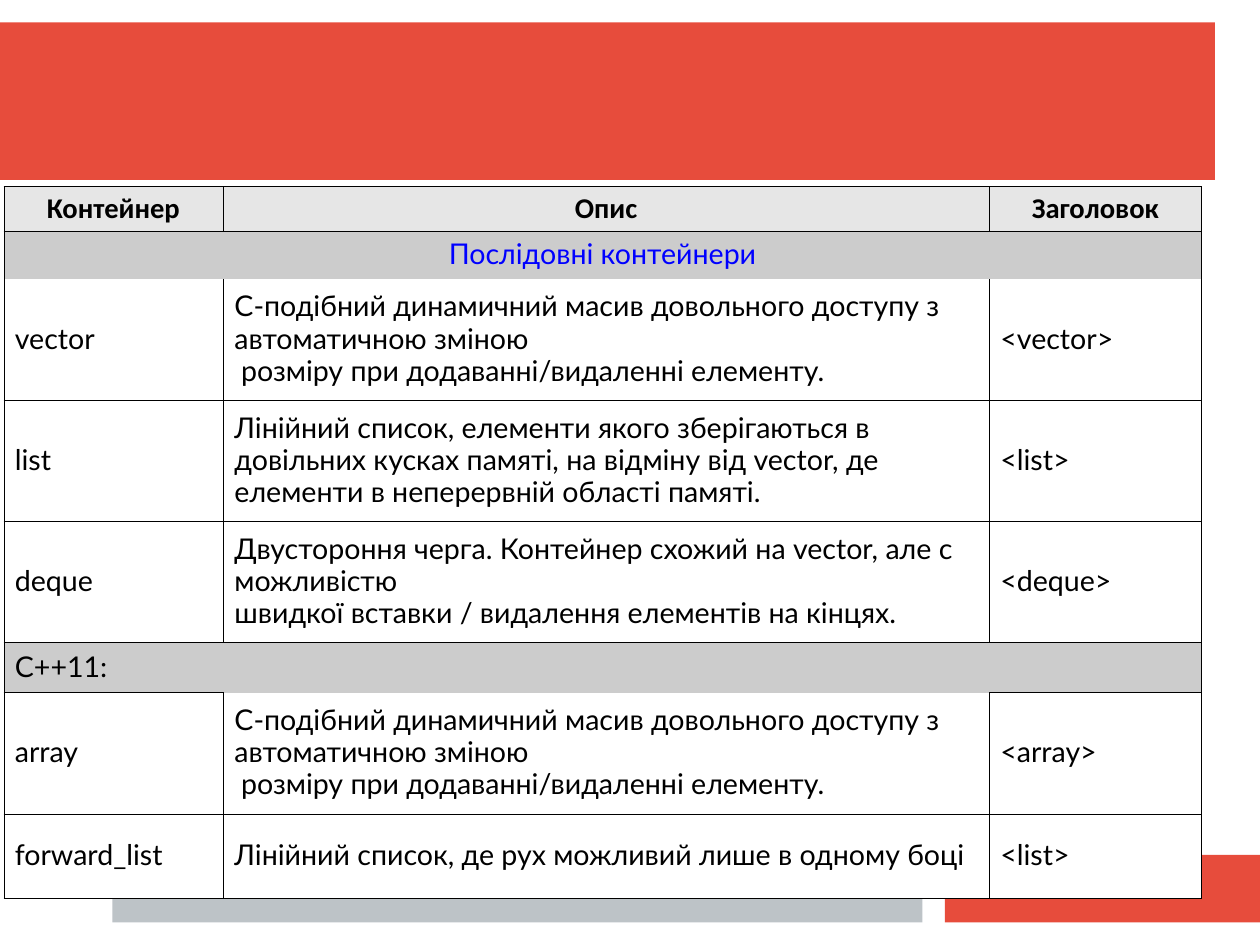
from lxml import etree
from pptx import Presentation
from pptx import util as u
from pptx.dml.color import RGBColor
from pptx.enum import shapes, text
from pptx.oxml.ns import qn

RED, SILVER, BLACK, BLUE = "E74C3C", "BDC3C7", "000000", "0000FF"
HEADER_GREY, SECTION_GREY, WHITE = "E6E6E6", "CCCCCC", "FFFFFF"

COLUMN_WIDTHS = (4.88, 17.02, 4.72)
TALL = 2.69
ROW_HEIGHTS = (0.98, 1.07, TALL, TALL, TALL, 1.12, TALL, 1.88)

# Table content: each cell is a list of paragraphs, a section has one cell
HEADER, SEQUENCE, VECTOR, CPP11, ARRAY = 0, 1, 2, 5, 6
RESIZE_NOTE = "розміру при додаванні/видаленні елементу."
DYNAMIC_ARRAY = [
    "C-подібний динамичний масив довольного доступу з автоматичною зміною",
    RESIZE_NOTE,
]
ROWS = [
    (["Контейнер"], ["Опис"], ["Заголовок"]),
    (["Послідовні контейнери"],),
    (["vector"], DYNAMIC_ARRAY, ["<vector>"]),
    (["list"],
     ["Лінійний список, елементи якого зберігаються в довільних кусках памяті, "
      "на відміну від vector, де елементи в неперервній області памяті."],
     ["<list>"]),
    (["deque"],
     ["Двустороння черга. Контейнер схожий на vector, але с можливістю",
      "швидкої вставки / видалення елементів на кінцях."],
     ["<deque>"]),
    (["С++11:"],),
    (["array"], DYNAMIC_ARRAY, ["<array>"]),
    (["forward_list"],
     ["Лінійний список, де рух можливий лише в одному боці"],
     ["<list>"]),
]


def color(hex_value):
    return RGBColor.from_string(hex_value)


def add_band(slide, left, top, width, height, fill):
    band = slide.shapes.add_shape(
        shapes.MSO_SHAPE.RECTANGLE,
        u.Cm(left), u.Cm(top), u.Cm(width), u.Cm(height))
    band.shadow.inherit = False
    band.fill.solid()
    band.fill.fore_color.rgb = color(fill)
    band.line.fill.background()


def set_borders(cell, sides):
    """Draw hairlines on the given sides (L, R, T, B) and clear the others."""
    properties = cell._tc.get_or_add_tcPr()
    for side in "LRTB":
        border = etree.SubElement(properties, qn(f"a:ln{side}"),
                                  w=str(u.Pt(0.06)))
        if side in sides:
            ink = etree.SubElement(border, qn("a:solidFill"))
            etree.SubElement(ink, qn("a:srgbClr"), val=BLACK)
        else:
            etree.SubElement(border, qn("a:noFill"))


def border_sides(row, column):
    if row in (SEQUENCE, CPP11):
        return "LRT" if column == 0 else "RT" if column == 2 else "T"
    if row == VECTOR or (row, column) == (ARRAY, 1):
        return "LRB"
    return "LRTB"


def style_cell(cell, sides, fill):
    set_borders(cell, sides)
    cell.fill.solid()
    cell.fill.fore_color.rgb = color(fill)
    cell.vertical_anchor = text.MSO_ANCHOR.MIDDLE
    cell.margin_left = cell.margin_right = u.Cm(0.25)
    cell.margin_top = cell.margin_bottom = u.Cm(0.13)


def write_cell(cell, lines, row):
    frame = cell.text_frame
    for index, line in enumerate(lines):
        paragraph = frame.paragraphs[0] if index == 0 else frame.add_paragraph()
        if line == RESIZE_NOTE:
            paragraph._p.get_or_add_pPr().set("marL", str(u.Cm(0.15)))
        centred = row in (HEADER, SEQUENCE)
        paragraph.alignment = (text.PP_ALIGN.CENTER if centred
                               else text.PP_ALIGN.LEFT)
        paragraph.line_spacing = 0.94
        run = paragraph.add_run()
        run.text = line
        run.font.size = u.Pt(18)
        run.font.name = "Calibri" if row == HEADER else "Lato"
        run.font.bold = row == HEADER
        run.font.color.rgb = color(BLUE if row == SEQUENCE else BLACK)


def add_container_table(slide):
    containers = slide.shapes.add_table(
        len(ROWS), len(COLUMN_WIDTHS), u.Cm(0.08), u.Cm(4.14),
        u.Cm(sum(COLUMN_WIDTHS)), u.Cm(sum(ROW_HEIGHTS))).table
    containers.first_row = containers.horz_banding = False
    for column, width in zip(containers.columns, COLUMN_WIDTHS):
        column.width = u.Cm(width)
    fills = {HEADER: HEADER_GREY, SEQUENCE: SECTION_GREY, CPP11: SECTION_GREY}
    for row, contents in enumerate(ROWS):
        containers.rows[row].height = u.Cm(ROW_HEIGHTS[row])
        for column in range(len(COLUMN_WIDTHS)):
            style_cell(containers.cell(row, column),
                       border_sides(row, column), fills.get(row, WHITE))
        if len(contents) == 1:
            containers.cell(row, 0).merge(containers.cell(row, 2))
        for column, lines in enumerate(contents):
            write_cell(containers.cell(row, column), lines, row)


def main():
    deck = Presentation()
    deck.slide_width, deck.slide_height = u.Cm(28), u.Cm(21)
    slide = deck.slides.add_slide(deck.slide_layouts[6])

    # Title band and footer bands
    add_band(slide, 0, 0.5, 27, 3.5, RED)
    add_band(slide, 21, 19, 7, 1.5, RED)
    add_band(slide, 2.5, 19, 18, 1.5, SILVER)

    # Containers of the standard library
    add_container_table(slide)
    deck.save("out.pptx")


if __name__ == "__main__":
    main()
